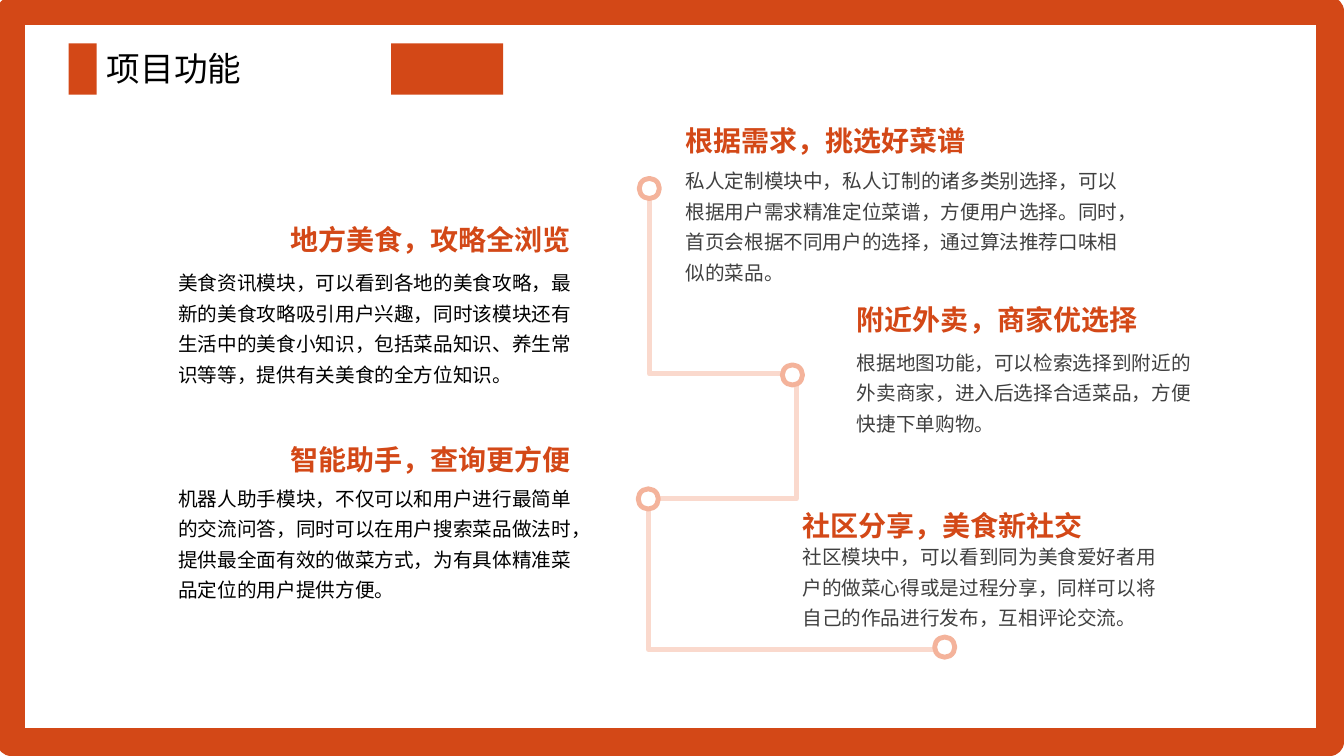
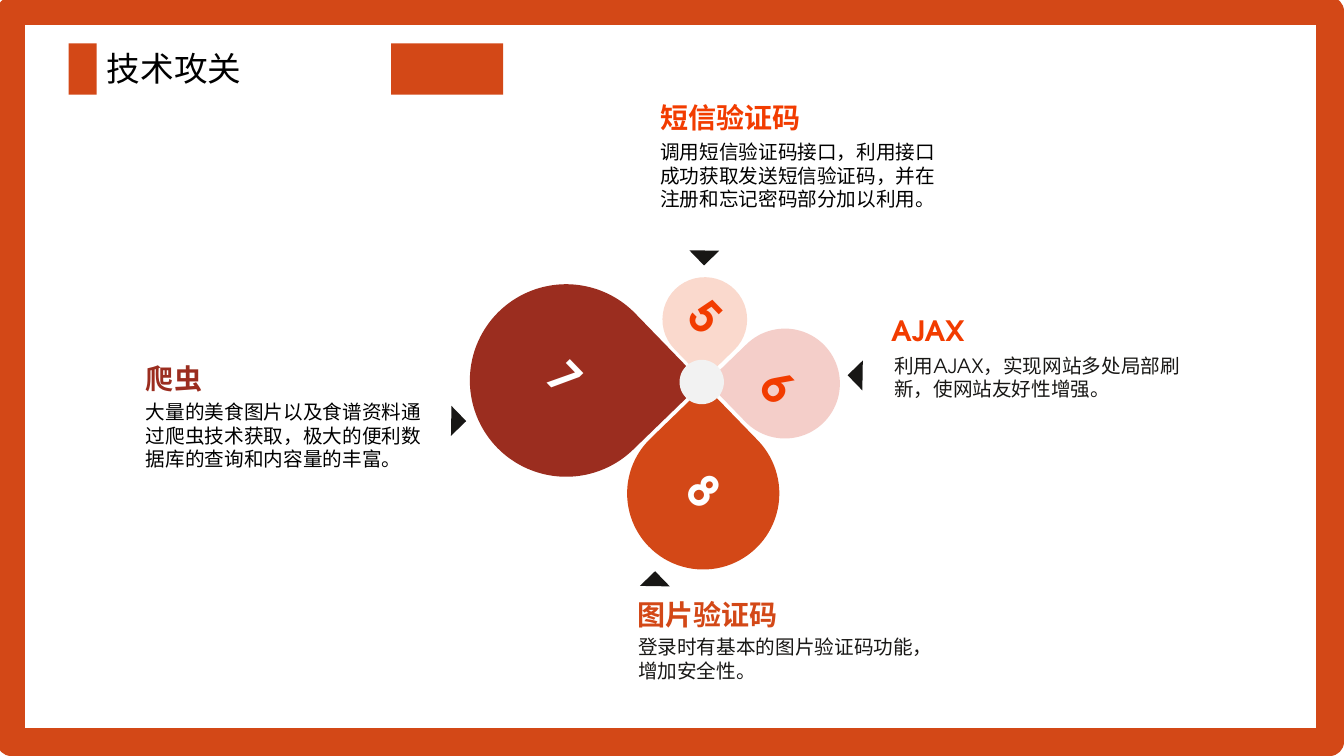
from dataclasses import dataclass
from lxml.etree import SubElement
from pptx import Presentation
from pptx.dml.color import RGBColor
from pptx.enum.shapes import MSO_SHAPE as SHAPE
from pptx.enum.text import MSO_ANCHOR, MSO_AUTO_SIZE as AUTO, PP_ALIGN
from pptx.oxml.ns import qn
from pptx.util import Inches, Pt


@dataclass(frozen=True)
class Theme:
    accent: str = "D34817"
    bright: str = "F23C00"
    wine: str = "9B2D1F"
    rose: str = "F4CEC9"
    peach: str = "FAD9CD"
    ring: str = "F4B39B"
    hub: str = "F2F2F2"
    white: str = "FFFFFF"
    black: str = "000000"
    ink: str = "181715"
    grey: str = "404040"
    cjk: str = "Noto Sans CJK SC"
    display: str = "TeX Gyre Adventor"
    title_font: str = "Calibri"
    title_size: int = 24
    number_size: int = 32
    head_size: int = 20
    body_size: int = 14


T = Theme()
TITLE_BOX = (0.96, 0.47, 2.96, 0.46)
BANDS = [(0.68, 0.43, 0.28, 0.51), (3.88, 0.43, 1.11, 0.51)]
FRAME = (0.11, 0.11, 13.08, 7.25)

FEATURES = [
    ("地方美食，攻略全浏览", (2.78, 1.99, 3.3, 0.55), 1.5,
     "美食资讯模块，可以看到各地的美食攻略，最新的美食攻略吸引用户兴趣，同时该模块还有生活中的美食小知识，包括菜品知识、养生常识等等，提供有关美食的全方位知识。",
     (1.67, 2.57, 4.13, 1.3), T.black),
    ("智能助手，查询更方便", (2.78, 4.17, 3.49, 0.55), 1.5,
     "机器人助手模块，不仅可以和用户进行最简单的交流问答，同时可以在用户搜索菜品做法时，提供最全面有效的做菜方式，为有具体精准菜品定位的用户提供方便。",
     (1.67, 4.71, 4.16, 1.3), T.black),
    ("根据需求，挑选好菜谱", (6.7, 1.08, 3.01, 0.5), 1.3,
     "私人定制模块中，私人订制的诸多类别选择，可以根据用户需求精准定位菜谱，方便用户选择。同时，首页会根据不同用户的选择，通过算法推荐口味相似的菜品。",
     (6.7, 1.56, 4.62, 1.3), T.grey),
    ("附近外卖，商家优选择", (8.4, 2.85, 3.01, 0.5), 1.3,
     "根据地图功能，可以检索选择到附近的外卖商家，进入后选择合适菜品，方便快捷下单购物。",
     (8.4, 3.36, 3.61, 0.99), T.grey),
    ("社区分享，美食新社交", (7.86, 4.9, 3.01, 0.5), 1.3,
     "社区模块中，可以看到同为美食爱好者用户的做菜心得或是过程分享，同样可以将自己的作品进行发布，互相评论交流。",
     (7.86, 5.29, 3.81, 0.99), T.grey),
]
ROUTE = [(6.44, 1.87), (6.44, 3.71), (7.9, 3.71), (7.9, 4.95),
         (6.43, 4.95), (6.43, 6.44), (9.36, 6.44)]
STOPS = [(6.34, 1.77), (7.76, 3.62), (6.33, 4.85), (9.27, 6.32)]
STOP_SIZE = 0.2

TILT = 45.9
PETALS = [
    ("7", (4.66, 2.82), 1.91, 0, T.wine, T.white, (5.39, 3.42)),
    ("8", (6.22, 4.14), 1.51, 3, T.accent, T.white, (6.77, 4.55)),
    ("6", (7.24, 3.26), 1.09, 2, T.rose, T.bright, (7.5, 3.51)),
    ("5", (6.57, 2.75), 0.84, 1, T.peach, T.bright, (6.79, 2.82)),
]
HUB = (6.74, 3.57, 0.44, 0.44)
POINTERS = [(8.45, 3.62, 0), (6.39, 5.71, 1), (4.37, 4.07, 2), (6.88, 2.38, 3)]
POINTER_SIZE = 0.21
CHALLENGES = [
    ("短信验证码", (6.45, 0.95, 1.61, 0.44), T.bright,
     "调用短信验证码接口，利用接口成功获取发送短信验证码，并在注册和忘记密码部分加以利用。",
     (6.45, 1.34, 3.11, 0.81), T.black),
    ("AJAX", (8.74, 3.06, 0.94, 0.44), T.bright,
     "利用AJAX，实现网站多处局部刷新，使网站友好性增强。",
     (8.77, 3.46, 3.14, 0.57), T.ink),
    ("图片验证码", (6.22, 5.88, 1.61, 0.44), T.accent,
     "登录时有基本的图片验证码功能，增加安全性。",
     (6.23, 6.25, 3, 0.57), T.ink),
    ("爬虫", (1.35, 3.54, 0.77, 0.44), T.wine,
     "大量的美食图片以及食谱资料通过爬虫技术获取，极大的便利数据库的查询和内容量的丰富。",
     (1.35, 3.92, 3.03, 0.81), T.black),
]


def inches(box):
    return [Inches(v) for v in box]


def style(p, size, color, font, bold=False, spacing=1.0):
    p.line_spacing = spacing
    f = p.font
    f.size, f.bold, f.name = Pt(size), bold, font
    f.color.rgb = RGBColor.from_string(color)
    SubElement(p._p.pPr.find(qn("a:defRPr")), qn("a:ea")).set("typeface", T.cjk)


def paint(sp, fill=None, line=None, width=0):
    sp.shadow.inherit = False
    if fill:
        sp.fill.solid()
        sp.fill.fore_color.rgb = RGBColor.from_string(fill)
    else:
        sp.fill.background()
    if line:
        sp.line.color.rgb = RGBColor.from_string(line)
        sp.line.width = Pt(width)
    else:
        sp.line.fill.background()


def add_shape(s, kind, box, fill=None, line=None, width=0, rotation=0):
    sp = s.shapes.add_shape(kind, *inches(box))
    sp.rotation = rotation
    paint(sp, fill, line, width)
    return sp


def add_text(s, text, box, size, color, font=T.cjk, bold=False, spacing=1.0, wrap=True):
    tb = s.shapes.add_textbox(*inches(box))
    tf = tb.text_frame
    tf.word_wrap, tf.auto_size = wrap, AUTO.SHAPE_TO_FIT_TEXT
    tf.text = text
    style(tf.paragraphs[0], size, color, font, bold, spacing)
    return tb


def decorate_layout(layout, s):
    parts = [add_shape(s, SHAPE.RECTANGLE, box, T.accent) for box in BANDS]
    parts.append(add_shape(s, SHAPE.RECTANGLE, FRAME, line=T.accent, width=20))
    for sp in parts:
        layout.shapes.element.append(sp.element)


def add_slide(prs, title):
    s = prs.slides.add_slide(prs.slide_layouts[5])
    ph = s.shapes.title
    ph.left, ph.top, ph.width, ph.height = inches(TITLE_BOX)
    tf = ph.text_frame
    tf.text, tf.auto_size, tf.vertical_anchor = title, AUTO.NONE, MSO_ANCHOR.MIDDLE
    p = tf.paragraphs[0]
    p.alignment = PP_ALIGN.LEFT
    style(p, T.title_size, T.black, T.title_font, spacing=0.9)
    return s


def build_features(s):
    start, *rest = [inches(point) for point in ROUTE]
    route = s.shapes.build_freeform(*start)
    route.add_line_segments(rest, close=False)
    paint(route.convert_to_shape(), line=T.peach, width=3.5)
    for x, y in STOPS:
        add_shape(s, SHAPE.OVAL, (x, y, STOP_SIZE, STOP_SIZE), T.white, T.ring, 3.5)
    for head, head_box, spacing, body, body_box, color in FEATURES:
        add_text(s, head, head_box, T.head_size, T.accent, bold=True, spacing=spacing)
        add_text(s, body, body_box, T.body_size, color, spacing=1.3)


def build_challenges(s):
    for _, (x, y), size, turn, fill, _, _ in PETALS:
        add_shape(s, SHAPE.TEAR, (x, y, size, size), fill, rotation=TILT + 90 * turn)
    add_shape(s, SHAPE.OVAL, HUB, T.hub)
    for x, y, turn in POINTERS:
        add_shape(s, SHAPE.RIGHT_TRIANGLE, (x, y, POINTER_SIZE, POINTER_SIZE), T.ink,
                  rotation=TILT + 90 * turn)
    for number, _, _, _, _, color, (x, y) in PETALS:
        tb = add_text(s, number, (x, y, 0.45, 0.64), T.number_size, color, T.display,
                      bold=True, wrap=False)
        tb.rotation = TILT
    for head, head_box, head_color, body, body_box, color in CHALLENGES:
        add_text(s, head, head_box, T.head_size, head_color, T.display, bold=True, wrap=False)
        add_text(s, body, body_box, T.body_size, color, T.display)


def main():
    prs = Presentation()
    prs.slide_width, prs.slide_height = Inches(13.33), Inches(7.5)
    features = add_slide(prs, "项目功能")
    decorate_layout(features.slide_layout, features)
    build_features(features)
    build_challenges(add_slide(prs, "技术攻关"))
    prs.save("out.pptx")


if __name__ == "__main__":
    main()
